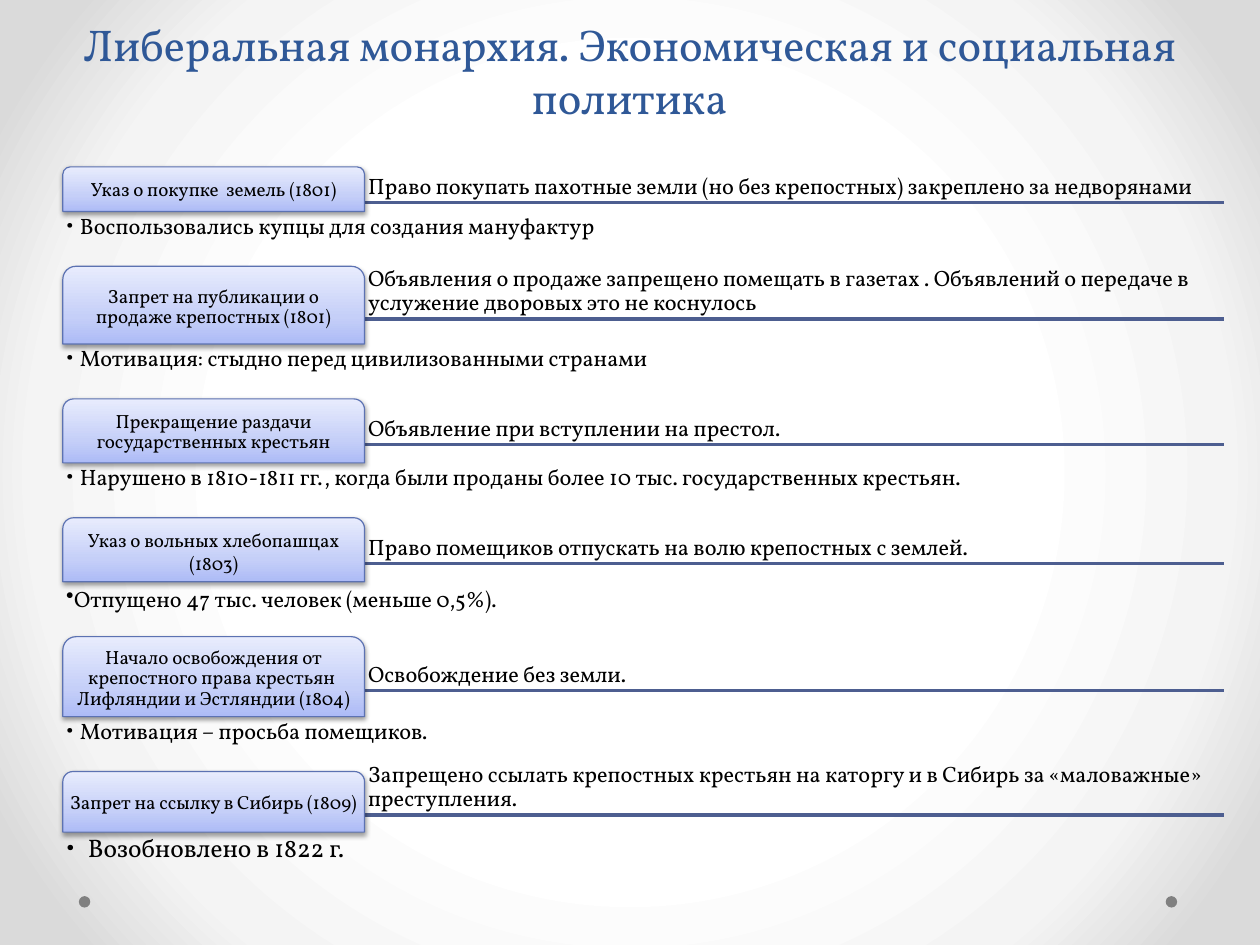
"""Slide on the economic and social policy of the liberal monarchy."""
from dataclasses import dataclass

from lxml import etree
from pptx import Presentation
from pptx import util as u
from pptx.dml.color import RGBColor
from pptx.enum import shapes, text
from pptx.oxml.ns import qn

TITLE = "Либеральная монархия. Экономическая и социальная политика"
DECREES = [
    dict(tab="Указ о покупке  земель (1801)", height=39,
         head="Право покупать пахотные земли (но без крепостных) закреплено за недворянами",
         note="Воспользовались купцы для создания мануфактур"),
    dict(tab="Запрет на публикации о продаже крепостных (1801)", height=68,
         head="Объявления о продаже запрещено помещать в газетах . Объявлений о передаче "
              "в услужение дворовых это не коснулось",
         note="Мотивация: стыдно перед цивилизованными странами"),
    dict(tab="Прекращение раздачи государственных крестьян", height=56,
         head="Объявление при вступлении на престол.",
         note="Нарушено в 1810-1811 гг., когда были проданы более 10 тыс. "
              "государственных крестьян."),
    dict(tab="Указ о вольных хлебопашцах (1803)", height=56, spacing=1.0, indent=0,
         head="Право помещиков отпускать на волю крепостных с землей.",
         note="Отпущено 47 тыс. человек (меньше 0,5%)."),
    dict(tab="Начало освобождения от крепостного права крестьян  Лифляндии и Эстляндии (1804)",
         height=70, head="Освобождение без земли.", note="Мотивация – просьба помещиков."),
    dict(tab="Запрет на ссылку в Сибирь (1809)", height=53, indent=19, note_size=16,
         head="Запрещено ссылать крепостных крестьян на каторгу и в Сибирь за «маловажные» "
              "преступления.",
         note="Возобновлено в 1822 г."),
]
SCALE = 9144
SLIDE_W, SLIDE_H = 10080625, 7559675
LEFT, RIGHT, TAB_W, FIRST_TOP = 55, 1071, 264, 146
NOTE_H, HEAD_H, ROW_GAP, RULE_DROP = 47, 24, 48, 12
DOT_LEFTS, DOT_TOP, DOT = (69, 1020), 784, 10


@dataclass(frozen=True)
class Theme:
    font: str = "Vollkorn"
    title: str = "2F5897"
    ink: str = "000000"
    rule: str = "4D5E90"
    edge: str = "5C72B2"
    dot: str = "808080"
    tab_stops: tuple = ((0, "ADBBF6"), (35, "C5CFF8"), (100, "E8ECFD"))
    page_stops: tuple = ((50, "FFFFFF"), (76, "F4F4F4"), (92, "DADADA"))
    title_size: int = 28
    body_size: int = 14
    tab_size: int = 12


T = Theme()
prs = Presentation()
prs.slide_width, prs.slide_height = u.Emu(SLIDE_W), u.Emu(SLIDE_H)
s = prs.slides.add_slide(prs.slide_layouts[6])


def px(*lengths):
    return [u.Emu(n * SCALE) for n in lengths]


def sub(parent, tag, **attrs):
    return etree.SubElement(parent, qn(tag), {k: str(v) for k, v in attrs.items()})


def gradient(fill, root, stops, angle=None):
    fill.gradient()
    grad = root.find(".//" + qn("a:gradFill"))
    for child in list(grad):
        grad.remove(child)
    gs_list = sub(grad, "a:gsLst")
    for pos, color in stops:
        sub(sub(gs_list, "a:gs", pos=pos * 1000), "a:srgbClr", val=color)
    if angle is None:
        circle = sub(grad, "a:path", path="circle")
        sub(circle, "a:fillToRect", l=50000, t=50000, r=50000, b=50000)
    else:
        sub(grad, "a:lin", ang=angle * 60000, scaled=0)


def write(sp, words, size=T.body_size, color=T.ink, anchor="TOP", align="LEFT",
          spacing=0.9, insets=(3, 3), indent=None):
    tf = sp.text_frame
    tf.word_wrap = True
    tf.vertical_anchor = text.MSO_ANCHOR[anchor]
    tf.margin_left, tf.margin_top = px(*insets)
    tf.margin_right, tf.margin_bottom = px(*insets)
    p = tf.paragraphs[0]
    p.alignment = text.PP_ALIGN[align]
    p.line_spacing = spacing
    if indent is not None:
        pPr = p._p.get_or_add_pPr()
        pPr.set("marL", str(indent * SCALE))
        pPr.set("indent", str(-indent * SCALE))
        if indent:
            sub(pPr, "a:buFont", typeface=T.font)
        sub(pPr, "a:buChar", char="•")
    r = p.add_run()
    r.text = words
    r.font.name, r.font.size = T.font, u.Pt(size)
    r.font.color.rgb = RGBColor.from_string(color)


def add_text(box, words, **fmt):
    write(s.shapes.add_textbox(*px(*box)), words, **fmt)


def add_rule(y):
    line = s.shapes.add_connector(shapes.MSO_CONNECTOR.STRAIGHT, *px(LEFT, y, RIGHT, y))
    line.line.color.rgb = RGBColor.from_string(T.rule)
    line.line.width = u.Pt(2.25)
    sub(line._element.spPr, "a:effectLst")


def add_tab(top, height, words, spacing):
    sp = s.shapes.add_shape(shapes.MSO_SHAPE.ROUND_2_SAME_RECTANGLE,
                            *px(LEFT, top, TAB_W, height))
    gradient(sp.fill, sp._element.spPr, T.tab_stops, angle=270)
    sp.line.color.rgb = RGBColor.from_string(T.edge)
    sp.line.width = u.Pt(0.75)
    sp.shadow.inherit = False
    effects = sp._element.spPr.find(qn("a:effectLst"))
    shadow = sub(effects, "a:outerShdw", blurRad=u.Pt(3.1), dist=u.Pt(1.6),
                 dir=5400000, rotWithShape=0)
    sub(sub(shadow, "a:srgbClr", val=T.ink), "a:alpha", val=38000)
    write(sp, words, size=T.tab_size, anchor="MIDDLE", align="CENTER",
          spacing=spacing, insets=(2, 2))


def add_dot(left):
    sp = s.shapes.add_shape(shapes.MSO_SHAPE.OVAL, *px(left, DOT_TOP, DOT, DOT))
    sp.fill.solid()
    sp.fill.fore_color.rgb = RGBColor.from_string(T.dot)
    sp.line.fill.background()
    sp.shadow.inherit = False


def main():
    gradient(s.background.fill, s._element, T.page_stops)
    for left in DOT_LEFTS:
        add_dot(left)
    add_text((LEFT, 12, 992, 102), TITLE, size=T.title_size, color=T.title,
             anchor="BOTTOM", align="CENTER", spacing=1.0, insets=(11, 6))
    top = FIRST_TOP
    for d in DECREES:
        height, spacing = d["height"], d.get("spacing", 0.9)
        bottom = top + height
        rule_y = top + height // 2 + RULE_DROP
        add_rule(rule_y)
        add_text((LEFT + TAB_W, rule_y - HEAD_H, RIGHT - LEFT - TAB_W, HEAD_H),
                 d["head"], anchor="BOTTOM", spacing=spacing)
        add_tab(top, height, d["tab"], spacing)
        add_text((LEFT, bottom, RIGHT - LEFT, NOTE_H), d["note"], spacing=spacing,
                 size=d.get("note_size", T.body_size), indent=d.get("indent", 12))
        top = bottom + ROW_GAP
    prs.save("out.pptx")


if __name__ == "__main__":
    main()
